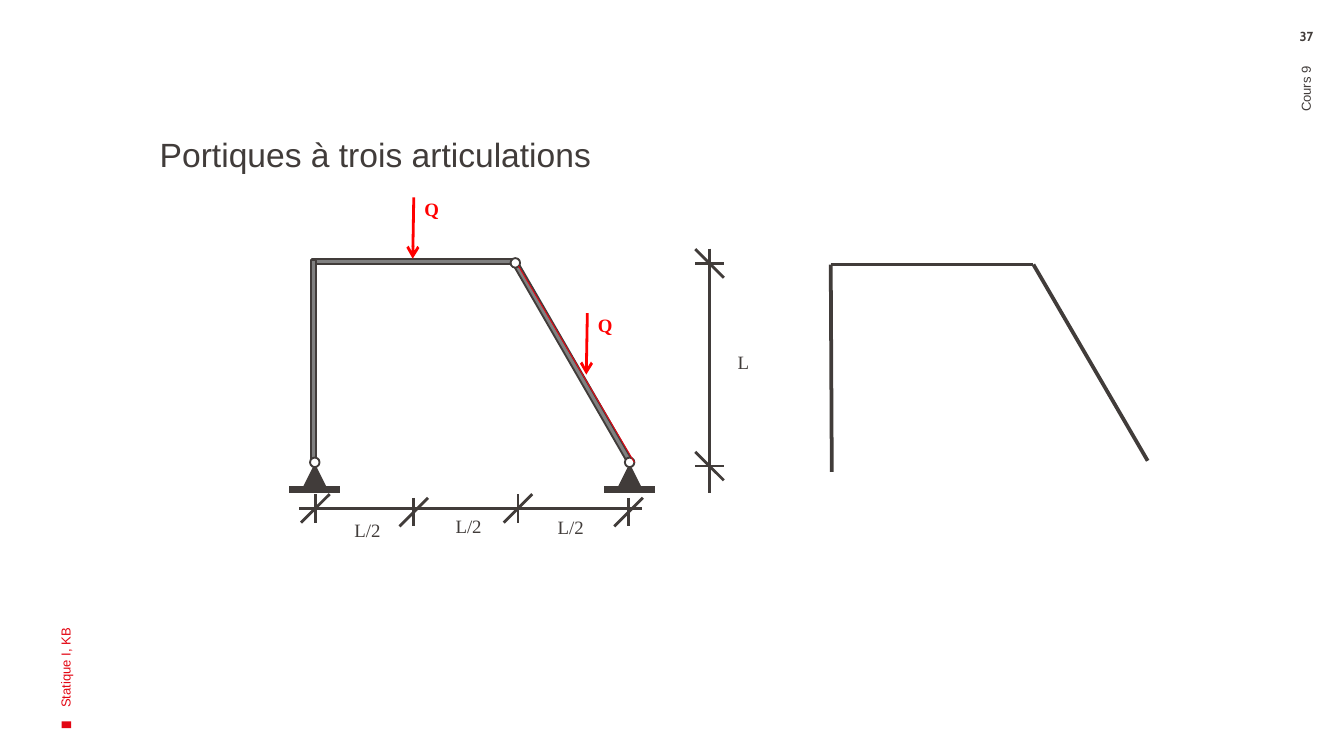
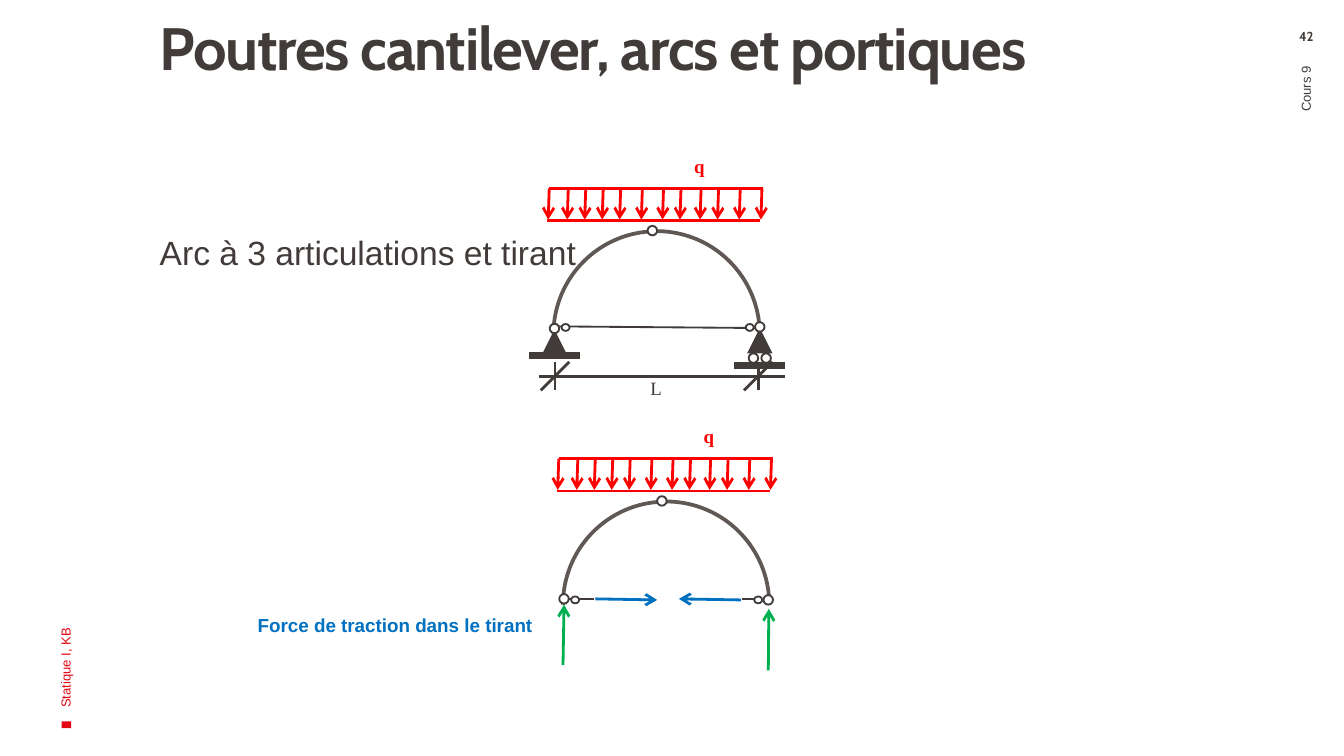
from dataclasses import dataclass
from itertools import pairwise
from typing import Optional

from lxml.etree import SubElement
from pptx import Presentation
from pptx.dml.color import RGBColor
from pptx.enum.shapes import MSO_CONNECTOR, MSO_SHAPE
from pptx.enum.text import MSO_ANCHOR, MSO_AUTO_SIZE, PP_ALIGN
from pptx.oxml.ns import qn
from pptx.slide import Slide
from pptx.util import Cm, Pt

COLORS = {
    "ink": "413C3A",
    "accent": "E30613",
    "load": "FF0000",
    "steel": "808080",
    "arch": "605855",
    "reaction": "00B050",
    "traction": "0070C0",
    "paper": "FFFFFF",
}

SYMBOL_FRAME = {"word_wrap": False, "auto_size": MSO_AUTO_SIZE.SHAPE_TO_FIT_TEXT}
SIDE_FRAME = {"word_wrap": True, "vertical_anchor": MSO_ANCHOR.MIDDLE}


@dataclass(frozen=True)
class Style:
    color: str
    font: dict
    frame: dict
    paragraph: dict
    tracking: int = 0


STYLES = {
    "title": Style(
        "ink",
        {"name": "Cabin", "size": Pt(32), "bold": True},
        {"word_wrap": True, "margin_left": Cm(0.51), "margin_top": 0, "margin_right": Cm(0.2)},
        {"line_spacing": 0.9},
        -70,
    ),
    "body": Style(
        "ink",
        {"name": "Arial", "size": Pt(18)},
        {"word_wrap": True, "margin_left": Cm(0.51)},
        {"line_spacing": 0.9},
    ),
    "author": Style("accent", {"name": "Arial", "size": Pt(7)}, SIDE_FRAME, {}),
    "course": Style(
        "ink", {"name": "Arial", "size": Pt(7)}, SIDE_FRAME, {"alignment": PP_ALIGN.RIGHT}
    ),
    "page": Style(
        "ink",
        {"name": "Cabin", "size": Pt(7), "bold": True},
        {"word_wrap": True, "margin_top": 0, "margin_bottom": 0},
        {"alignment": PP_ALIGN.CENTER},
    ),
    "length": Style("ink", {"name": "Times New Roman", "size": Pt(10.1)}, SYMBOL_FRAME, {}),
    "force": Style(
        "load", {"name": "Times New Roman", "size": Pt(10.1), "bold": True}, SYMBOL_FRAME, {}
    ),
    "note": Style(
        "traction", {"name": "Arial", "size": Pt(10.1), "bold": True}, {"word_wrap": True}, {}
    ),
}


@dataclass(frozen=True)
class Label:
    text: str
    style: str
    x: float
    y: float
    width: float
    height: float
    rotation: float = 0


@dataclass(frozen=True)
class Stroke:
    x1: float
    y1: float
    x2: float
    y2: float
    color: str = "ink"
    weight: float = 1.5
    arrow: bool = False


@dataclass(frozen=True)
class Part:
    outline: MSO_SHAPE
    x: float
    y: float
    width: float
    height: float
    fill: Optional[str] = None
    line: Optional[str] = None
    weight: float = 1
    rotation: float = 0


def rgb(color: str) -> RGBColor:
    return RGBColor.from_string(COLORS[color])


def apply(target: object, values: dict) -> None:
    for name, value in values.items():
        setattr(target, name, value)


def draw_label(slide: Slide, label: Label) -> None:
    style = STYLES[label.style]
    box = slide.shapes.add_textbox(Cm(label.x), Cm(label.y), Cm(label.width), Cm(label.height))
    box.rotation = label.rotation
    apply(box.text_frame, style.frame)
    paragraph = box.text_frame.paragraphs[0]
    apply(paragraph, style.paragraph)
    run = paragraph.add_run()
    run.text = label.text
    apply(run.font, style.font)
    run.font.color.rgb = rgb(style.color)
    if style.tracking:
        run._r.get_or_add_rPr().set("spc", str(style.tracking))


def draw_stroke(slide: Slide, stroke: Stroke) -> None:
    connector = slide.shapes.add_connector(
        MSO_CONNECTOR.STRAIGHT, Cm(stroke.x1), Cm(stroke.y1), Cm(stroke.x2), Cm(stroke.y2)
    )
    connector.line.color.rgb = rgb(stroke.color)
    connector.line.width = Pt(stroke.weight)
    properties = connector.element.spPr
    if stroke.arrow:
        SubElement(properties.find(qn("a:ln")), qn("a:tailEnd"), type="arrow")
    SubElement(properties, qn("a:effectLst"))


def draw_part(slide: Slide, part: Part) -> None:
    shape = slide.shapes.add_shape(
        part.outline, Cm(part.x), Cm(part.y), Cm(part.width), Cm(part.height)
    )
    shape.shadow.inherit = False
    shape.rotation = part.rotation
    if part.fill:
        shape.fill.solid()
        shape.fill.fore_color.rgb = rgb(part.fill)
    else:
        shape.fill.background()
    if part.line:
        shape.line.color.rgb = rgb(part.line)
        shape.line.width = Pt(part.weight)
    else:
        shape.line.fill.background()


def draw_hinge(slide: Slide, x: float, y: float, width: float = 0.18, height: float = 0.18) -> None:
    draw_part(
        slide,
        Part(MSO_SHAPE.OVAL, x - width / 2, y - height / 2, width, height, "paper", "ink"),
    )


def draw_eye(slide: Slide, x: float, y: float) -> None:
    draw_hinge(slide, x, y, 0.15, 0.13)


def draw_support(slide: Slide, x: float, y: float, rolling: bool = False) -> None:
    draw_part(slide, Part(MSO_SHAPE.ISOSCELES_TRIANGLE, x - 0.24, y + 0.02, 0.48, 0.48, "ink"))
    base = y + (0.73 if rolling else 0.51)
    draw_stroke(slide, Stroke(x - 0.48, base, x + 0.48, base, weight=4))
    if rolling:
        for offset in (-0.12, 0.12):
            draw_hinge(slide, x + offset, y + 0.59)
    draw_hinge(slide, x, y)


def draw_tick(slide: Slide, x: float, y: float, upright: bool = False) -> None:
    reach = 0.27
    if upright:
        draw_stroke(slide, Stroke(x - reach, y, x + reach, y))
        draw_stroke(slide, Stroke(x - reach, y - reach, x + reach, y + reach))
    else:
        draw_stroke(slide, Stroke(x, y - reach, x, y + reach))
        draw_stroke(slide, Stroke(x - reach, y + reach, x + reach, y - reach))


def draw_point_load(slide: Slide, x: float, y: float) -> None:
    draw_stroke(slide, Stroke(x, y, x - 0.02, y + 1.16, "load", arrow=True))
    draw_label(slide, Label("Q", "force", x - 0.05, y - 0.11, 0.79, 0.69))


def draw_loaded_arch(slide: Slide, x: float, y: float) -> None:
    for rotation in (0, 270):
        draw_part(
            slide,
            Part(MSO_SHAPE.ARC, x, y, 3.9, 3.9, line="arch", weight=2, rotation=rotation),
        )
    top, bottom = y - 0.81, y - 0.2
    for offset in (-0.08, 0.28, 0.61, 0.94, 1.27, 1.68, 2.08, 2.41, 2.79, 3.12, 3.53, 3.94):
        draw_stroke(
            slide, Stroke(x + offset, top, x + offset - 0.02, bottom - 0.02, "load", arrow=True)
        )
    draw_stroke(slide, Stroke(x - 0.08, top, x + 3.96, top, "load"))
    draw_stroke(slide, Stroke(x - 0.12, bottom, x + 3.91, bottom, "load"))
    draw_label(slide, Label("q", "force", x + 2.41, y - 1.57, 0.71, 0.69))
    draw_hinge(slide, x + 1.87, y - 0.01)


def add_course_slide(deck: Presentation, page: str, heading: str, heading_y: float) -> Slide:
    slide = deck.slides.add_slide(deck.slide_layouts[6])
    draw_part(slide, Part(MSO_SHAPE.RECTANGLE, 1.19, 13.61, 0.13, 0.18, "accent", rotation=270))
    for label in (
        Label("Statique I, KB", "author", -3.4, 7.72, 9.27, 2.54, 270),
        Label(page, "page", 23.98, 0.53, 1.42, 0.46),
        Label("Cours 9", "course", 19.76, 5.21, 9.83, 1.42, 270),
        Label(heading, "body", 2.51, heading_y, 21.46, 9.4),
    ):
        draw_label(slide, label)
    return slide


def build_frame_slide(deck: Presentation) -> None:
    slide = add_course_slide(deck, "37", "Portiques à trois articulations", 2.49)
    for x, y, length, rotation in (
        (8.69, 6.78, 4.24, 60),
        (5.89, 4.9, 3.84, 0),
        (4.01, 6.78, 3.84, 90),
    ):
        draw_part(
            slide,
            Part(MSO_SHAPE.RECTANGLE, x, y, length, 0.1, "steel", "ink", rotation=rotation),
        )
    draw_hinge(slide, 9.74, 4.97)
    for x in (5.95, 11.9):
        draw_support(slide, x, 8.74)

    draw_stroke(slide, Stroke(5.66, 9.62, 12.14, 9.62))
    for x, y in ((5.96, 9.61), (7.82, 9.68), (9.79, 9.61), (11.88, 9.68)):
        draw_tick(slide, x, y)
    draw_stroke(slide, Stroke(13.41, 4.7, 13.41, 9.32))
    for y in (4.98, 8.81):
        draw_tick(slide, 13.41, y, upright=True)
    for x, y in ((6.45, 9.68), (8.36, 9.6), (10.29, 9.63)):
        draw_label(slide, Label("L/2", "length", x, y, 1.02, 0.69))
    draw_label(slide, Label("L", "length", 13.69, 6.5, 0.74, 0.69))

    draw_stroke(slide, Stroke(9.8, 5.03, 11.99, 8.74, "accent", 0.5))
    bare_frame = ((15.72, 8.92), (15.7, 5), (19.53, 5), (21.69, 8.71))
    for start, end in pairwise(bare_frame):
        draw_stroke(slide, Stroke(*start, *end, weight=2))
    for x, y in ((7.82, 3.73), (11.1, 5.92)):
        draw_point_load(slide, x, y)


def build_arch_slide(deck: Presentation) -> None:
    slide = add_course_slide(deck, "42", "Arc à 3 articulations et tirant", 4.34)
    draw_label(
        slide, Label("Poutres cantilever, arcs et portiques", "title", 2.51, 0.36, 19.48, 2.97)
    )

    draw_loaded_arch(slide, 10.46, 4.37)
    draw_stroke(slide, Stroke(10.57, 6.17, 14.3, 6.2, weight=1))
    draw_support(slide, 10.48, 6.21)
    draw_support(slide, 14.36, 6.18, rolling=True)
    for x in (10.69, 14.17):
        draw_eye(slide, x, 6.19)
    draw_stroke(slide, Stroke(10.19, 7.11, 14.83, 7.11))
    for x in (10.49, 14.33):
        draw_tick(slide, x, 7.11)
    draw_label(slide, Label("L", "length", 12.04, 6.99, 0.74, 0.69))

    draw_loaded_arch(slide, 10.64, 9.48)
    for stroke in (
        Stroke(10.64, 12.57, 10.66, 11.43, "reaction", arrow=True),
        Stroke(14.52, 12.67, 14.53, 11.51, "reaction", arrow=True),
        Stroke(11.25, 11.32, 12.42, 11.34, "traction", arrow=True),
        Stroke(14, 11.34, 12.83, 11.32, "traction", arrow=True),
        Stroke(10.72, 11.33, 11.23, 11.33, weight=1),
        Stroke(14.02, 11.33, 14.25, 11.33, weight=1),
    ):
        draw_stroke(slide, stroke)
    for x, y in ((10.66, 11.32), (14.52, 11.34)):
        draw_hinge(slide, x, y)
    for x in (10.87, 14.33):
        draw_eye(slide, x, 11.34)
    draw_label(slide, Label("Force de traction dans le tirant", "note", 4.62, 11.48, 5.72, 1.12))


def main() -> None:
    deck = Presentation()
    apply(deck, {"slide_width": Cm(25.4), "slide_height": Cm(14.29)})
    build_frame_slide(deck)
    build_arch_slide(deck)
    deck.save("out.pptx")


if __name__ == "__main__":
    main()
